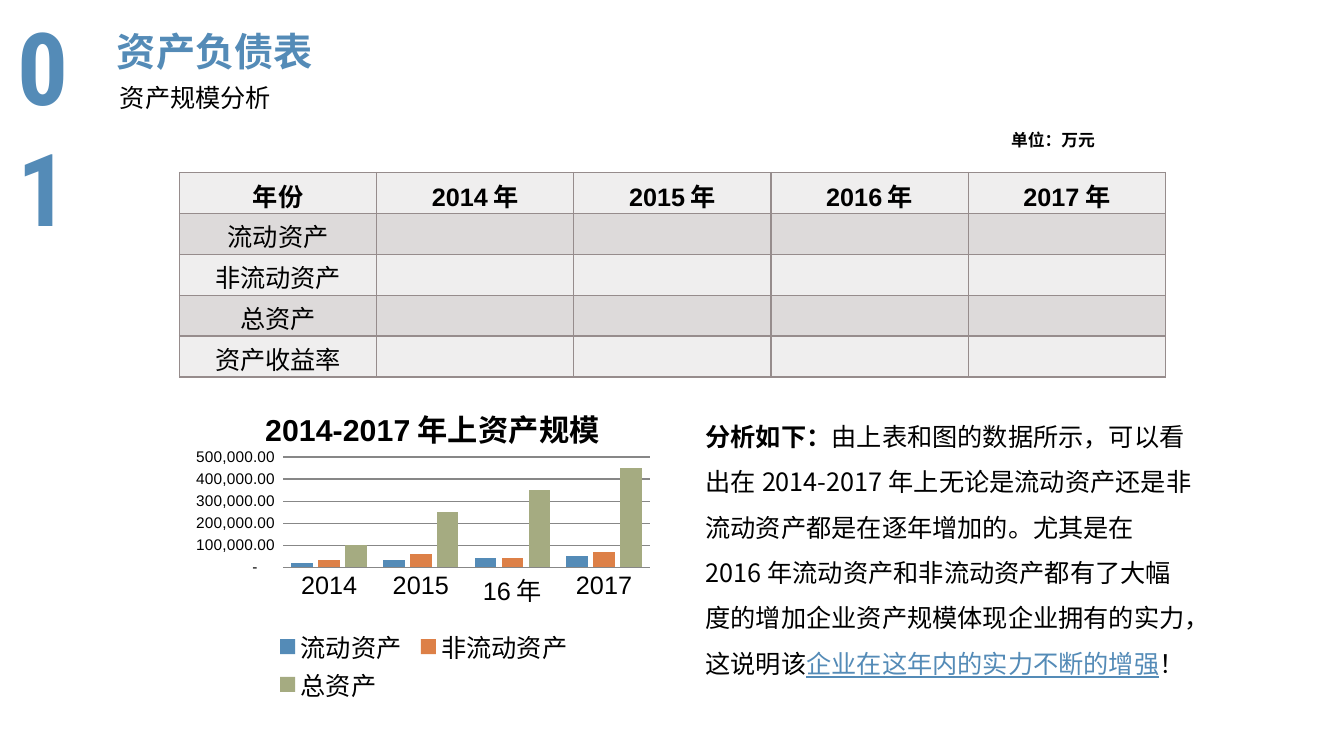
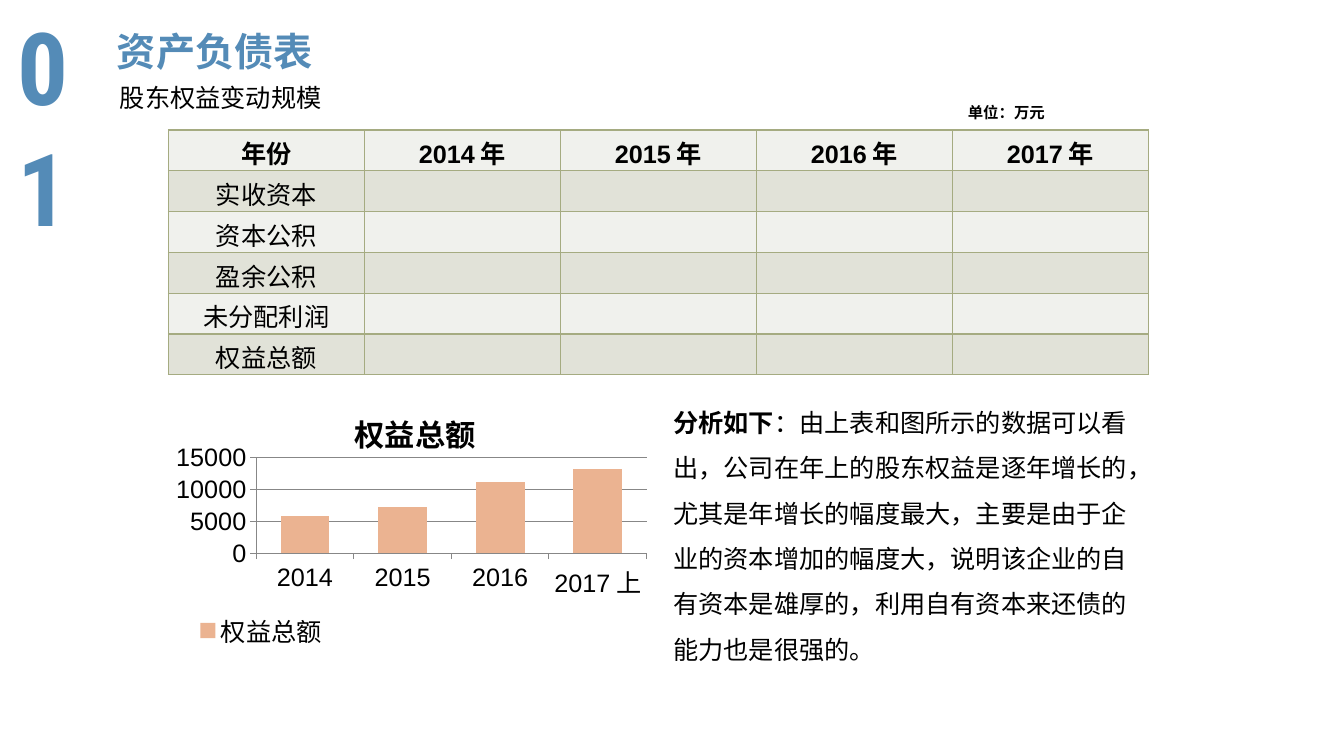
from pptx import Presentation
from pptx.chart.data import CategoryChartData as ChartData
from pptx.dml.color import RGBColor
from pptx.enum.chart import XL_CHART_TYPE as ChartType
from pptx.enum.chart import XL_LEGEND_POSITION as LegendPosition
from pptx.enum.chart import XL_TICK_MARK as Tick
from pptx.enum.text import MSO_ANCHOR as Anchor
from pptx.enum.text import PP_ALIGN as Align
from pptx.oxml import parse_xml
from pptx.oxml.ns import nsdecls, qn
from pptx.util import Inches, Pt

# Shared style
BLUE, ORANGE, OLIVE, PEACH = "548BB7", "DD8047", "A5AB81", "EBB391"
BLACK, GREY = "000000", "878787"
LATIN, CHINESE, NUMERAL = "Arial", "Noto Sans CJK SC", "Roboto Condensed"
BODY_SIZE = 18
YEARS = ["年份", "2014年", "2015年", "2016年", "2017年"]
ACCOUNTING = '_(* #,##0.00_);_(* \\(#,##0.00\\);_(* "-"??_);_(@_)'


def color(value):
    return RGBColor.from_string(value)


def style_font(font, size, face=LATIN, tint=BLACK, bold=False):
    font.size, font.name, font.bold = Pt(size), face, bold
    font.color.rgb = color(tint)


def style_span(span, size, face=LATIN, tint=BLACK, bold=False):
    style_font(span.font, size, face, tint, bold)
    east = parse_xml(f'<a:ea {nsdecls("a")} typeface="{CHINESE}"/>')
    span.font._element.find(qn("a:latin")).addnext(east)


def add_text(page, box, text, size, face=LATIN, tint=BLACK, bold=False):
    shape = page.shapes.add_textbox(*map(Inches, box))
    frame = shape.text_frame
    frame.word_wrap = True
    frame.text = text
    style_span(frame.paragraphs[0].runs[0], size, face, tint, bold)
    return frame


def add_heading(page, subtitle):
    """Section number, title and subtitle."""
    add_text(page, (0.08, 0, 0.85, 1.31), "01", 72, NUMERAL, BLUE, True)
    title = add_text(page, (1.04, 0.21, 5.78, 0.59), "资产负债表", 28,
                     CHINESE, BLUE, True)
    title.margin_left = title.margin_right = Inches(0.12)
    title.margin_top = title.margin_bottom = Inches(0.06)
    add_text(page, (1.09, 0.77, 5.64, 0.4), subtitle, BODY_SIZE)


def style_cell(cell, fill, border):
    properties = cell._tc.get_or_add_tcPr()
    for side in ("lnL", "lnR", "lnT", "lnB"):
        properties.append(parse_xml(
            f'<a:{side} {nsdecls("a")} w="12700"><a:solidFill>'
            f'<a:srgbClr val="{border}"/></a:solidFill></a:{side}>'))
    cell.fill.solid()
    cell.fill.fore_color.rgb = color(fill)
    cell.margin_top = cell.margin_bottom = 0
    cell.vertical_anchor = Anchor.BOTTOM


def add_year_table(page, box, items, fills, border):
    """Year header, then one empty row for each item."""
    left, top, width, height = map(Inches, box)
    labels = [YEARS] + [[item] + [""] * (len(YEARS) - 1) for item in items]
    table = page.shapes.add_table(len(labels), len(YEARS),
                                  left, top, width, height).table
    for column in table.columns:
        column.width = width // len(YEARS)
    for index, texts in enumerate(labels):
        table.rows[index].height = height // len(labels)
        for cell, text in zip(table.rows[index].cells, texts):
            style_cell(cell, fills[index % 2], border)
            para = cell.text_frame.paragraphs[0]
            para.alignment = Align.CENTER
            if text:
                para.text = text
                style_span(para.runs[0], BODY_SIZE, bold=index == 0)


def set_layout(element, position, shares, inner=False):
    """Place a chart part by shares of the chart's size."""
    for old in element.findall(qn("c:layout")):
        element.remove(old)
    target = '<c:layoutTarget val="inner"/>' if inner else ""
    modes = '<c:xMode val="edge"/><c:yMode val="edge"/>'
    values = "".join(f'<c:{key} val="{share}"/>'
                     for key, share in zip("xywh", shares))
    element.insert(position, parse_xml(
        f'<c:layout {nsdecls("c")}><c:manualLayout>{target}{modes}{values}'
        '</c:manualLayout></c:layout>'))


def style_axis(axis, size, tick, line=True):
    style_font(axis.tick_labels.font, size)
    axis.major_tick_mark, axis.minor_tick_mark = tick, Tick.NONE
    if line:
        axis.format.line.color.rgb = color(GREY)
    else:
        axis.format.line.fill.background()


def add_column_chart(page, box, title, categories, series, gap, overlap,
                     top_value, step, tick, value_size, number_format,
                     value_line, areas):
    data = ChartData()
    data.categories = categories
    for name, values, _ in series:
        data.add_series(name, values)
    chart = page.shapes.add_chart(ChartType.COLUMN_CLUSTERED,
                                  *map(Inches, box), data).chart
    style_font(chart.font, BODY_SIZE)

    # Title and legend
    chart.has_title = True
    chart.chart_title.text_frame.text = title
    style_span(chart.chart_title.text_frame.paragraphs[0].runs[0],
               21.6, bold=True)
    chart.has_legend = True
    chart.legend.position = LegendPosition.BOTTOM
    chart.legend.include_in_layout = False
    style_font(chart.legend.font, BODY_SIZE)

    # Axes
    style_axis(chart.category_axis, BODY_SIZE, tick)
    axis = chart.value_axis
    style_axis(axis, value_size, tick, value_line)
    axis.minimum_scale, axis.maximum_scale = 0, top_value
    axis.major_unit = step
    axis.major_gridlines.format.line.color.rgb = color(GREY)
    axis.tick_labels.number_format = number_format
    axis.tick_labels.number_format_is_linked = False

    # Columns
    plot = chart.plots[0]
    plot.gap_width, plot.overlap, plot.vary_by_categories = gap, overlap, False
    for columns, (_, _, fill) in zip(plot.series, series):
        columns.format.fill.solid()
        columns.format.fill.fore_color.rgb = color(fill)
    title_area, plot_area, legend_area = areas
    set_layout(chart.chart_title._element, 1, title_area)
    set_layout(chart._chartSpace.chart.plotArea, 0, plot_area, inner=True)
    set_layout(chart.legend._element, 1, legend_area)


def add_analysis(page, box, lead, parts):
    """Bold lead, then (text, colour, underline) parts."""
    frame = add_text(page, box, lead, BODY_SIZE, CHINESE, bold=True)
    para = frame.paragraphs[0]
    para.line_spacing = Pt(1.8 * BODY_SIZE)
    for text, tint, underline in parts:
        span = para.add_run()
        span.text = text
        style_span(span, BODY_SIZE, CHINESE, tint)
        span.font.underline = underline


def build_assets(page):
    add_heading(page, "资产规模分析")
    add_year_table(page, (1.78, 1.71, 9.78, 2.03),
                   ["流动资产", "非流动资产", "总资产", "资产收益率"],
                   ("EFEEEE", "DDDADA"), "968C8C")
    add_column_chart(
        page, (1.82, 3.74, 4.72, 3.31), "2014-2017年上资产规模",
        ["2014", "2015", "16年", "2017"],
        [("流动资产", (20000, 30000, 40000, 50000), BLUE),
         ("非流动资产", (30000, 60000, 40000, 70000), ORANGE),
         ("总资产", (100000, 250000, 350000, 450000), OLIVE)],
        gap=75, overlap=-25, top_value=500000, step=100000, tick=Tick.NONE,
        value_size=11, number_format=ACCOUNTING, value_line=False,
        areas=((0.16, 0.06), (0.21, 0.24, 0.77, 0.33),
               (0.18, 0.75, 0.65, 0.23)))
    add_analysis(page, (6.9, 3.98, 5.03, 2.83), "分析如下：", [
        ("由上表和图的数据所示，可以看出在2014-2017年上无论是流动资产还是"
         "非流动资产都是在逐年增加的。尤其是在2016年流动资产和非流动资产都"
         "有了大幅度的增加企业资产规模体现企业拥有的实力，这说明该",
         BLACK, False),
        ("企业在这年内的实力不断的增强", BLUE, True),
        ("！", BLACK, False)])
    add_text(page, (9.93, 1.24, 1.42, 0.3), "单位：万元", 12, bold=True)


def build_equity(page):
    add_heading(page, "股东权益变动规模")
    add_year_table(page, (1.67, 1.29, 9.72, 2.43),
                   ["实收资本", "资本公积", "盈余公积", "未分配利润", "权益总额"],
                   ("F0F1ED", "E1E2D8"), OLIVE)
    add_analysis(page, (6.58, 3.84, 4.91, 3.13), "分析如下", [
        ("：由上表和图所示的数据可以看出，公司在年上的股东权益是逐年增长的，"
         "尤其是年增长的幅度最大，主要是由于企业的资本增加的幅度大，说明该"
         "企业的自有资本是雄厚的，利用自有资本来还债的能力也是很强的。",
         BLACK, False)])
    add_column_chart(
        page, (1.67, 3.76, 4.84, 2.79), "权益总额",
        ["2014", "2015", "2016", "2017上"],
        [("权益总额", (5900, 7200, 11200, 13200), PEACH)],
        gap=100, overlap=0, top_value=15000, step=5000, tick=Tick.OUTSIDE,
        value_size=BODY_SIZE, number_format="General", value_line=True,
        areas=((0.37, 0.08), (0.18, 0.28, 0.8, 0.34),
               (0.04, 0.84, 0.3, 0.13)))
    add_text(page, (9.5, 0.97, 1.42, 0.29), "单位：万元", 11, bold=True)


def main():
    deck = Presentation()
    deck.slide_width, deck.slide_height = Inches(13.33), Inches(7.5)
    for build in (build_assets, build_equity):
        build(deck.slides.add_slide(deck.slide_layouts[6]))
    deck.save("out.pptx")


if __name__ == "__main__":
    main()
